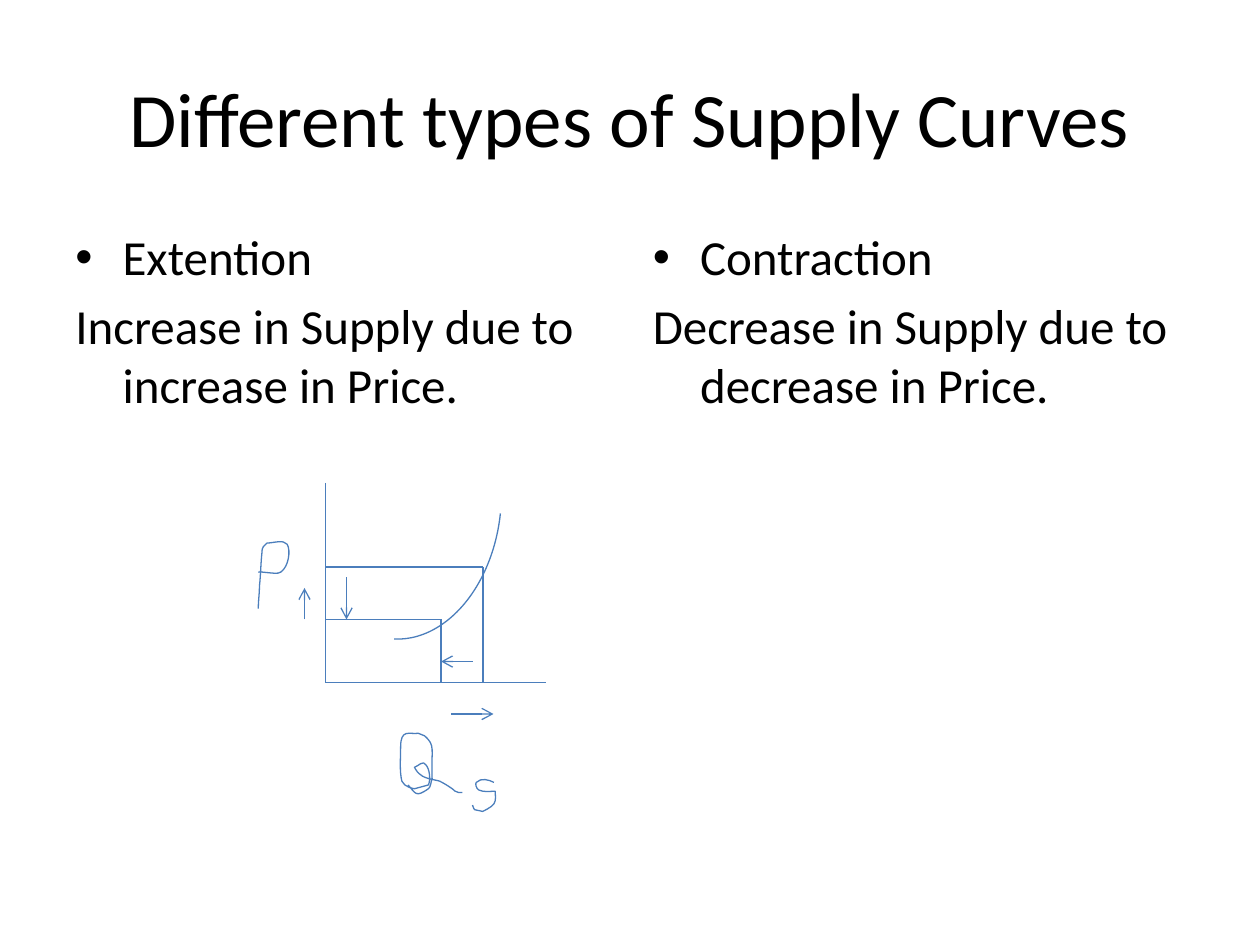
from lxml.etree import SubElement
from pptx import Presentation
from pptx.dml.color import RGBColor
from pptx.enum.shapes import MSO_CONNECTOR, MSO_SHAPE
from pptx.enum.text import MSO_ANCHOR, PP_ALIGN
from pptx.oxml.ns import qn
from pptx.util import Pt

INK = "4B7EBC"
HAND_UNIT = 0.72

LETTER_P = [(0, 55), (0, 49), (1, 43), (1, 37), (2, 28), (2, 19), (3, 10),
            (3, 9), (3, 7), (4, 6), (5, 5), (6, 4), (7, 3), (12, 3), (20, 0),
            (23, 4), (26, 9), (24, 22), (18, 26), (17, 27), (15, 27), (13, 27),
            (1, 26), (5, 26), (0, 26)]
LETTER_Q = [(7, 45), (13, 52), (13, 55), (23, 48), (25, 47), (25, 42), (26, 40),
            (25, 16), (29, 14), (20, 6), (18, 5), (17, 5), (15, 4), (8, 5), (1, 0),
            (1, 15), (1, 24), (0, 34), (2, 42), (4, 47), (12, 48), (12, 48),
            (12, 48), (23, 45), (23, 45), (25, 41), (24, 32), (21, 29), (19, 25),
            (15, 30), (12, 31), (13, 33), (15, 36), (17, 37), (20, 40), (29, 41),
            (32, 42), (36, 44), (39, 46), (42, 48), (43, 49), (45, 51), (47, 51),
            (47, 51), (50, 51), (50, 51)]
LETTER_S = [(17, 4), (13, 2), (7, 0), (3, 4), (2, 5), (3, 9), (5, 10), (9, 12),
            (14, 11), (18, 11), (18, 14), (19, 18), (17, 21), (15, 24), (8, 27),
            (8, 27), (0, 25), (2, 27), (0, 22)]


def color(hex_text):
    """Turn a hex string into a colour."""
    return RGBColor.from_string(hex_text)


def add_text(page, box, anchor):
    """Add an empty wrapping text frame in the given box."""
    frame = page.shapes.add_textbox(*(Pt(length) for length in box)).text_frame
    frame.word_wrap = True
    frame.vertical_anchor = anchor
    return frame


def add_span(para, text, size):
    """Add one black run to a paragraph."""
    span = para.add_run()
    span.text = text
    span.font.name = "Calibri"
    span.font.size = Pt(size)
    span.font.color.rgb = color("000000")


def add_title(page, box, text):
    """Place the centred slide title."""
    para = add_text(page, box, MSO_ANCHOR.MIDDLE).paragraphs[0]
    para.alignment = PP_ALIGN.CENTER
    add_span(para, text, 44)


def add_column(page, box, heading, definition):
    """Place a bulleted heading over its definition."""
    frame = add_text(page, box, MSO_ANCHOR.TOP)
    for para, text in ((frame.paragraphs[0], heading),
                       (frame.add_paragraph(), definition)):
        para.space_before = Pt(5.6)
        props = para._p.get_or_add_pPr()
        props.set("marL", str(Pt(27)))
        props.set("indent", str(Pt(-27)))
        if text == heading:
            SubElement(props, qn("a:buFont")).set("typeface", "Arial")
            SubElement(props, qn("a:buChar")).set("char", "•")
        else:
            SubElement(props, qn("a:buNone"))
        add_span(para, text, 28)


def set_ink(shape):
    """Give a shape or connector the thin diagram line."""
    shape.line.color.rgb = color(INK)
    shape.line.width = Pt(0.75)


def add_segment(page, origin, start, end, arrow=False):
    """Draw a line between two points measured from the origin."""
    ends = [Pt(base + step) for point in (start, end)
            for base, step in zip(origin, point)]
    segment = page.shapes.add_connector(MSO_CONNECTOR.STRAIGHT, *ends)
    set_ink(segment)
    if arrow:
        SubElement(segment.line._get_or_add_ln(), qn("a:tailEnd")).set("type", "arrow")
    SubElement(segment._element.spPr, qn("a:effectLst"))


def bend(letter, points):
    """Join each three steps of an outline into a cubic curve or a straight line."""
    steps = list(letter._element.iter(qn("a:lnTo")))
    outline = steps[0].getparent()
    for first in range(0, len(steps), 3):
        start, lead, trail, end = points[first:first + 4]
        straight = start == lead and trail == end
        curve = SubElement(outline, qn("a:lnTo" if straight else "a:cubicBezTo"))
        for step in steps[first:first + 3]:
            outline.remove(step)
            if not straight or step is steps[first + 2]:
                curve.append(step[0])


def add_letter(page, origin, corner, points):
    """Draw one handwritten letter at a corner measured from the origin."""
    builder = page.shapes.build_freeform(*points[0], scale=Pt(HAND_UNIT))
    builder.add_line_segments(points[1:], close=False)
    letter = builder.convert_to_shape(*(Pt(a + b) for a, b in zip(origin, corner)))
    bend(letter, points)
    letter.shadow.inherit = False
    letter.fill.background()
    set_ink(letter)


def add_supply_curve(page, origin, box):
    """Draw the rising arc of supply."""
    left, top, width, height = box
    arc = page.shapes.add_shape(MSO_SHAPE.ARC, Pt(origin[0] + left),
                                Pt(origin[1] + top), Pt(width), Pt(height))
    arc.adjustments[0] = 162
    arc.adjustments[1] = 214.999
    arc.rotation = 96
    arc.shadow.inherit = False
    arc.fill.background()
    set_ink(arc)


def add_diagram(page, origin):
    """Draw the price and quantity diagram from the top of its price axis."""
    base = 114
    add_segment(page, origin, (0, 0), (0, base))
    add_segment(page, origin, (0, base), (126, base))
    for corner, points in (((-38.4, 32.16), LETTER_P),
                           ((42.24, 140.16), LETTER_Q),
                           ((84, 168.24), LETTER_S)):
        add_letter(page, origin, corner, points)
    add_supply_curve(page, origin, (-32.6, -43.4, 155.5, 110.2))
    for quantity, price in ((90, 48), (66, 78)):
        add_segment(page, origin, (0, price), (quantity, price))
        add_segment(page, origin, (quantity, price), (quantity, base))
    for start, end in (((72, 132), (96, 132)), ((-12, 78), (-12, 60)),
                       ((12, 54), (12, 78)), ((84, 102), (66, 102))):
        add_segment(page, origin, start, end, arrow=True)


deck = Presentation()
deck.slide_width, deck.slide_height = Pt(720), Pt(540)
page = deck.slides.add_slide(deck.slide_layouts[6])
add_title(page, (36, 21.6, 648, 90), "Different types of Supply Curves")
add_column(page, (36, 126, 318, 356.4), "Extention",
           "Increase in Supply due to increase in Price.")
add_column(page, (366, 126, 318, 356.4), "Contraction",
           "Decrease in Supply due to decrease in Price.")
add_diagram(page, (186, 276))
deck.save("out.pptx")
